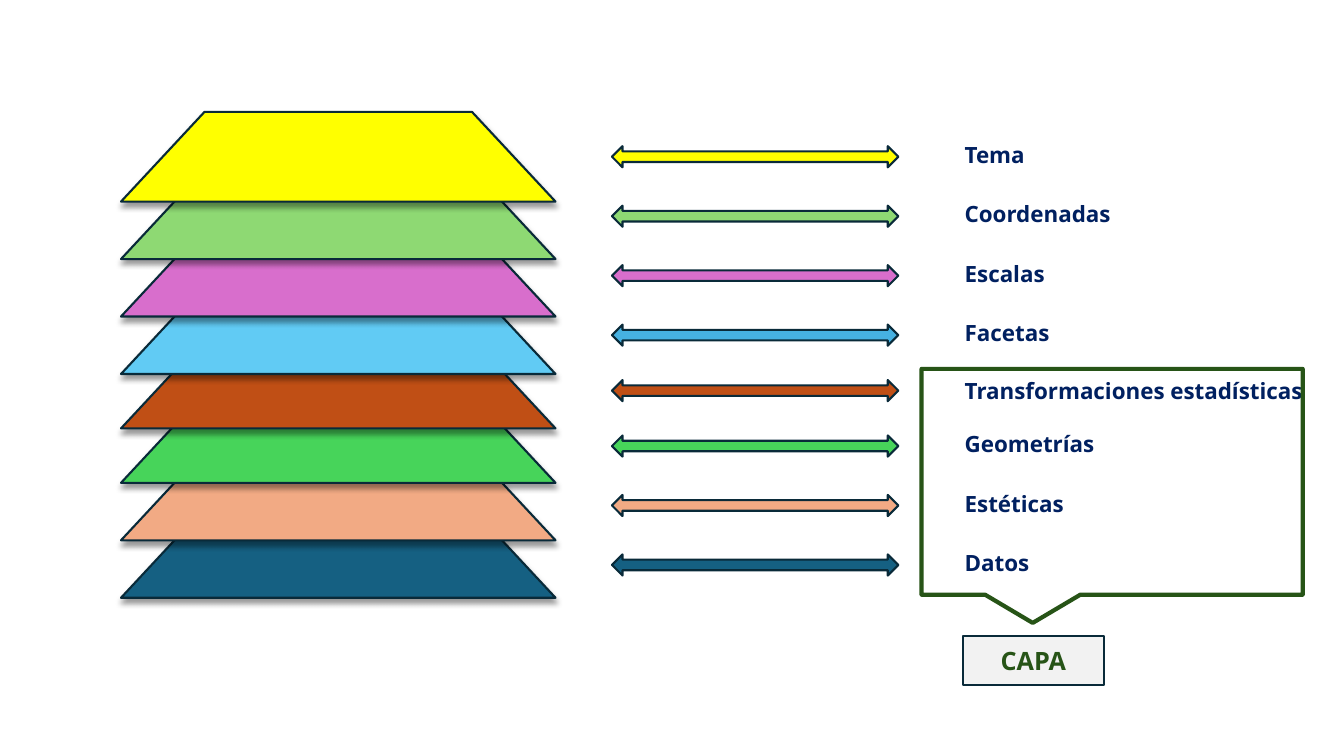
from lxml import etree
from pptx import Presentation
from pptx.dml.color import RGBColor
from pptx.enum.shapes import MSO_SHAPE
from pptx.enum.text import MSO_ANCHOR, MSO_AUTO_SIZE, PP_ALIGN
from pptx.oxml.ns import qn
from pptx.util import Inches, Pt

TRAPEZOID = MSO_SHAPE.TRAPEZOID
ARROW = MSO_SHAPE.LEFT_RIGHT_ARROW
CALLOUT = MSO_SHAPE.RECTANGULAR_CALLOUT
RECTANGLE = MSO_SHAPE.RECTANGLE
MIDDLE = MSO_ANCHOR.MIDDLE
CENTER = PP_ALIGN.CENTER
FIT_SHAPE = MSO_AUTO_SIZE.SHAPE_TO_FIT_TEXT

COLORS = {
    "yellow": "FFFF00", "lime": "8ED973", "orchid": "D86ECC",
    "sky": "61CBF4", "blue": "46B1E1", "rust": "C04F15",
    "green": "47D45A", "peach": "F2AA84", "teal": "156082",
    "outline": "092A39", "navy": "002060", "forest": "275417",
    "gray": "F2F2F2", "black": "000000",
}

LAYERS = [
    ("Tema", "yellow", "yellow", 1.11, 1.45, 1.35),
    ("Coordenadas", "lime", "lime", 1.68, 2.04, 1.94),
    ("Escalas", "orchid", "orchid", 2.25, 2.63, 2.53),
    ("Facetas", "sky", "blue", 2.82, 3.22, 3.12),
    ("Transformaciones estadísticas", "rust", "rust", 3.36, 3.77, 3.69),
    ("Geometrías", "green", "green", 3.9, 4.32, 4.22),
    ("Estéticas", "peach", "peach", 4.47, 4.91, 4.81),
    ("Datos", "teal", "teal", 5.04, 5.5, 5.4),
]


class LayerSlide:
    """Draws styled elements on one slide."""

    font = "Open Sans"

    def __init__(self, prs):
        self.s = prs.slides.add_slide(prs.slide_layouts[6])

    def shape(self, kind, box, fill=None, line="outline", width=1.5):
        sp = self.s.shapes.add_shape(kind, *[Inches(v) for v in box])
        sp.shadow.inherit = False
        if fill:
            sp.fill.solid()
            sp.fill.fore_color.rgb = RGBColor.from_string(COLORS[fill])
        else:
            sp.fill.background()
        sp.line.color.rgb = RGBColor.from_string(COLORS[line])
        sp.line.width = Pt(width)
        return sp

    def layer(self, top, fill):
        sp = self.shape(TRAPEZOID, (1.2, top, 4.31, 0.89), fill)
        sp.adjustments[0] = 0.931
        effects = sp._element.spPr.find(qn("a:effectLst"))
        shadow = etree.SubElement(
            effects, qn("a:outerShdw"), blurRad=str(Pt(4)), dist=str(Pt(3)),
            dir="5400000", algn="t", rotWithShape="0")
        color = etree.SubElement(shadow, qn("a:srgbClr"), val=COLORS["black"])
        etree.SubElement(color, qn("a:alpha"), val="40000")

    def set_text(self, sp, text, size, color):
        p = sp.text_frame.paragraphs[0]
        p.text = text
        p.font.name = self.font
        p.font.size = Pt(size)
        p.font.bold = True
        p.font.color.rgb = RGBColor.from_string(COLORS[color])
        return p

    def label(self, top, text):
        sp = self.s.shapes.add_textbox(
            Inches(9.47), Inches(top), Inches(3.86), Inches(0.37))
        sp.text_frame.word_wrap = True
        sp.text_frame.auto_size = FIT_SHAPE
        self.set_text(sp, text, 16, "navy")

    def tag(self, box, text):
        sp = self.shape(RECTANGLE, box, "gray")
        sp.text_frame.vertical_anchor = MIDDLE
        self.set_text(sp, text, 18, "forest").alignment = CENTER


def main():
    prs = Presentation()
    prs.slide_width, prs.slide_height = Inches(13.33), Inches(7.5)
    slide = LayerSlide(prs)
    for _, fill, _, top, _, _ in reversed(LAYERS):
        slide.layer(top, fill)
    for name, _, fill, _, arrow_top, label_top in LAYERS:
        slide.shape(ARROW, (6.07, arrow_top, 2.84, 0.21), fill)
        slide.label(label_top, name)
    slide.shape(CALLOUT, (9.14, 3.66, 3.78, 2.24), line="forest", width=3)
    slide.tag((9.55, 6.31, 1.4, 0.49), "CAPA")
    prs.save("out.pptx")


if __name__ == "__main__":
    main()
